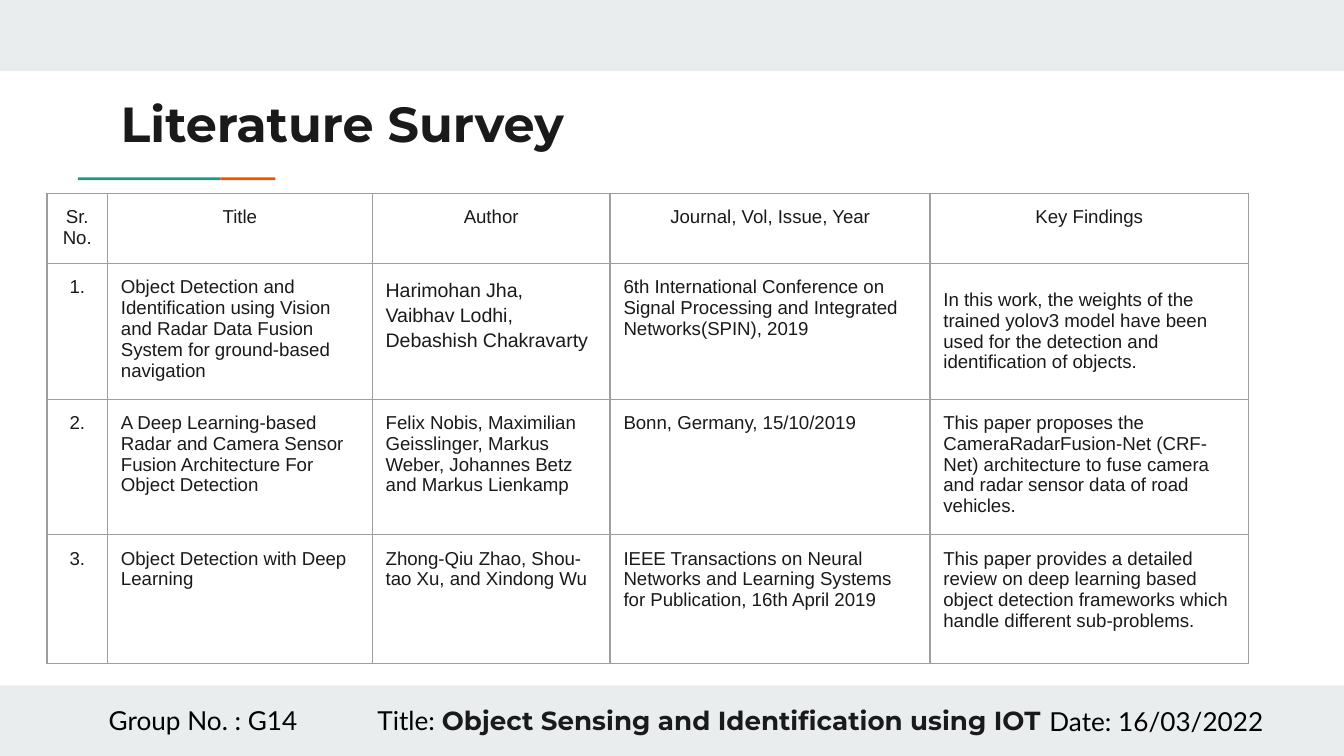
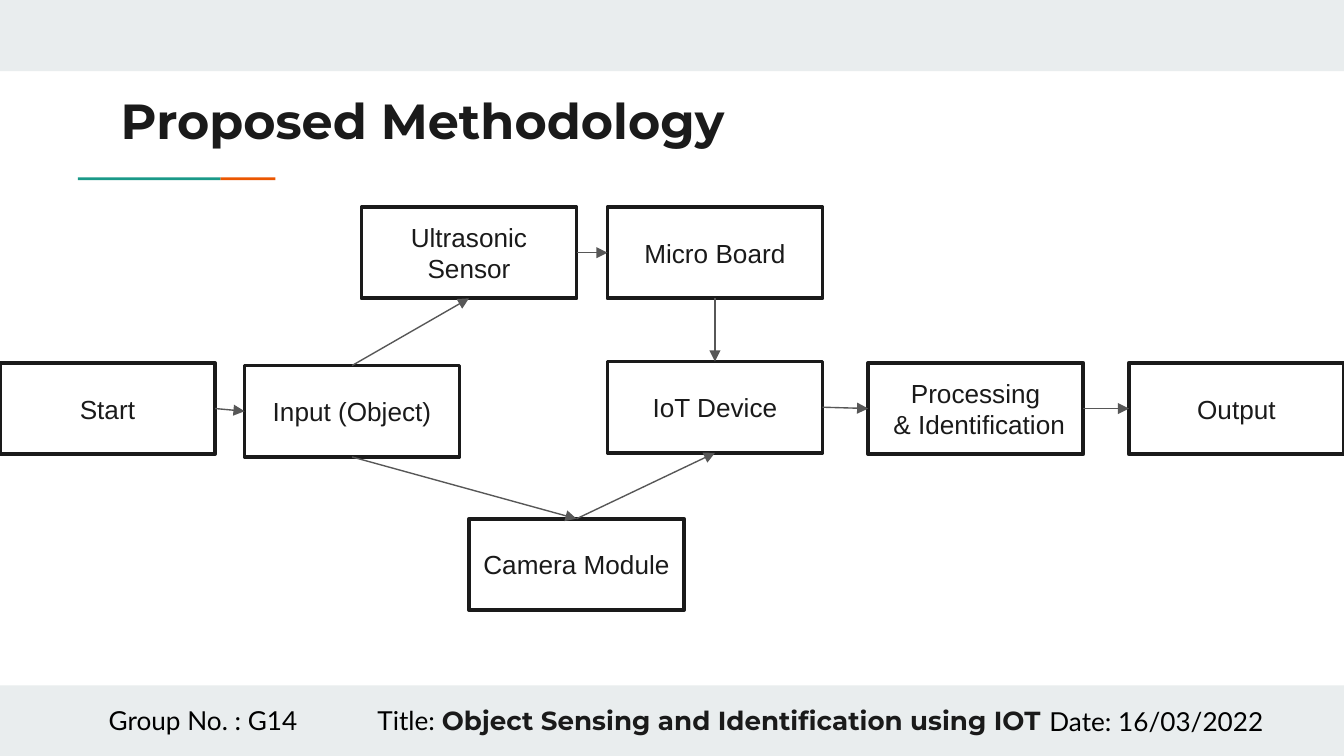
from dataclasses import dataclass
from typing import NamedTuple

from lxml.etree import SubElement
from pptx import Presentation
from pptx.dml.color import RGBColor
from pptx.enum.shapes import MSO_CONNECTOR, MSO_SHAPE
from pptx.enum.text import MSO_ANCHOR, PP_ALIGN
from pptx.oxml.ns import qn
from pptx.util import Inches, Pt


# Theme: colours, fonts and type sizes
@dataclass(frozen=True)
class Theme:
    band: str = "E9EDEE"
    teal: str = "1A9988"
    orange: str = "EB5600"
    ink: str = "1A1A1A"
    black: str = "000000"
    white: str = "FFFFFF"
    arrow: str = "575757"
    grid: str = "9E9E9E"
    heading_font: str = "Montserrat"
    footer_font: str = "Lato"
    body_font: str = "Arial"
    title_size: float = 26.4
    label_size: float = 14
    table_size: float = 10
    author_size: float = 10.5


THEME = Theme()
INSET = Inches(0.1)


class Area(NamedTuple):
    left: float
    top: float
    width: float
    height: float


class Step(NamedTuple):
    label: str
    left: float
    top: float


class Link(NamedTuple):
    start: str
    start_side: int
    end: str
    end_side: int


# Helpers
def style_span(span, size: float, font: str, color: str, bold: bool = False) -> None:
    span.font.size = Pt(size)
    span.font.name = font
    span.font.bold = bold
    span.font.color.rgb = RGBColor.from_string(color)


def style_frame(frame, size: float, font: str, color: str, bold: bool = False, align=PP_ALIGN.LEFT) -> None:
    for para in frame.paragraphs:
        para.alignment = align
        for span in para.runs:
            style_span(span, size, font, color, bold)


def add_box(page, area: Area, fill: str):
    box = page.shapes.add_shape(MSO_SHAPE.RECTANGLE, *(Inches(v) for v in area))
    box.shadow.inherit = False
    box.fill.solid()
    box.fill.fore_color.rgb = RGBColor.from_string(fill)
    box.line.fill.background()
    return box


def add_text(page, area: Area, text: str, size: float, font: str, color: str, bold: bool = False):
    frame = page.shapes.add_textbox(*(Inches(v) for v in area)).text_frame
    frame.word_wrap = True
    frame.margin_left = frame.margin_right = frame.margin_top = frame.margin_bottom = INSET
    frame.text = text
    style_frame(frame, size, font, color, bold)
    return frame


def add_tab_stop(para, position: float) -> None:
    stops = SubElement(para._p.get_or_add_pPr(), qn("a:tabLst"))
    SubElement(stops, qn("a:tab"), pos=str(Inches(position)), algn="l")


def add_page(deck, title: str, title_top: float):
    """Add a page with the bands, accent rule, footer and title."""
    page = deck.slides.add_slide(deck.slide_layouts[6])
    add_box(page, Area(0, 0, 10, 0.53), THEME.band)
    add_box(page, Area(1.64, 1.32, 0.41, 0.02), THEME.orange)
    add_box(page, Area(0.58, 1.32, 1.06, 0.02), THEME.teal)
    add_box(page, Area(0, 5.1, 10, 0.53), THEME.band)
    footer = add_text(page, Area(0.71, 5.14, 7.81, 0.44), "Group No. : G14\tTitle: ",
                      THEME.label_size, THEME.footer_font, THEME.black)
    add_tab_stop(footer.paragraphs[0], 2)
    project = footer.paragraphs[0].add_run()
    project.text = "Object Sensing and Identification using IOT"
    style_span(project, THEME.label_size, THEME.heading_font, THEME.ink, True)
    add_text(page, Area(7.71, 5.15, 1.94, 0.44), "Date: 16/03/2022",
             THEME.label_size, THEME.footer_font, THEME.black)
    add_text(page, Area(0.8, title_top, 8.41, 0.59), title,
             THEME.title_size, THEME.heading_font, THEME.ink, True)
    return page


def add_borders(cell) -> None:
    properties = cell._tc.get_or_add_tcPr()
    for side in ("lnL", "lnR", "lnT", "lnB"):
        edge = SubElement(properties, qn(f"a:{side}"), w=str(Pt(0.75)))
        SubElement(SubElement(edge, qn("a:solidFill")), qn("a:srgbClr"), val=THEME.grid)


def fill_cell(cell, text: str, centered: bool) -> None:
    cell.margin_left = cell.margin_right = cell.margin_top = INSET
    cell.margin_bottom = Inches(0.07)  # keeps five-line rows at their set height
    add_borders(cell)
    cell.fill.background()
    cell.text_frame.text = text
    style_frame(cell.text_frame, THEME.table_size, THEME.body_font, THEME.ink,
                align=PP_ALIGN.CENTER if centered else PP_ALIGN.LEFT)


def add_step(page, step: Step):
    box = add_box(page, Area(step.left, step.top, 1.6, 0.68), THEME.white)
    box.line.color.rgb = RGBColor.from_string(THEME.ink)
    box.line.width = Pt(2)
    frame = box.text_frame
    frame.word_wrap = True
    frame.vertical_anchor = MSO_ANCHOR.MIDDLE
    frame.text = step.label
    style_frame(frame, THEME.label_size, THEME.body_font, THEME.ink, align=PP_ALIGN.CENTER)
    return box


def add_arrow(page, boxes: dict, link: Link) -> None:
    arrow = page.shapes.add_connector(MSO_CONNECTOR.STRAIGHT, 0, 0, 0, 0)
    arrow.begin_connect(boxes[link.start], link.start_side)
    arrow.end_connect(boxes[link.end], link.end_side)
    arrow.line.color.rgb = RGBColor.from_string(THEME.arrow)
    arrow.line.width = Pt(0.75)
    SubElement(arrow.line._get_or_add_ln(), qn("a:tailEnd"), type="triangle")
    SubElement(arrow._element.spPr, qn("a:effectLst"))


# Literature table
COLUMN_WIDTHS = (0.45, 1.97, 1.77, 2.38, 2.37)
ROW_HEIGHTS = (0.52, 1.01, 1.01, 0.96)
SURVEY = (
    ("Sr.\nNo.", "Title", "Author", "Journal, Vol, Issue, Year", "Key Findings"),
    ("1.",
     "Object Detection and Identification using Vision and Radar Data Fusion System "
     "for ground-based navigation",
     "Harimohan Jha, Vaibhav Lodhi, Debashish Chakravarty",
     "6th International Conference on Signal Processing and Integrated Networks(SPIN), 2019",
     "In this work, the weights of the trained yolov3 model have been used for the "
     "detection and identification of objects."),
    ("2.",
     "A Deep Learning-based Radar and Camera Sensor Fusion Architecture For Object Detection",
     "Felix Nobis, Maximilian Geisslinger, Markus Weber, Johannes Betz and Markus Lienkamp",
     "Bonn, Germany, 15/10/2019",
     "This paper proposes the CameraRadarFusion-Net (CRF-Net) architecture to fuse camera "
     "and radar sensor data of road vehicles."),
    ("3.",
     "Object Detection with Deep Learning",
     "Zhong-Qiu Zhao, Shou-tao Xu, and Xindong Wu",
     "IEEE Transactions on Neural Networks and Learning Systems for Publication, 16th April 2019",
     "This paper provides a detailed review on deep learning based object detection "
     "frameworks which handle different sub-problems."),
)


def build_survey(deck) -> None:
    page = add_page(deck, "Literature Survey", 0.59)
    table = page.shapes.add_table(
        len(SURVEY), len(COLUMN_WIDTHS), Inches(0.35), Inches(1.44),
        Inches(sum(COLUMN_WIDTHS)), Inches(sum(ROW_HEIGHTS))).table
    table.first_row = table.horz_banding = False
    for column, width in zip(table.columns, COLUMN_WIDTHS):
        column.width = Inches(width)
    for row, height in zip(table.rows, ROW_HEIGHTS):
        row.height = Inches(height)
    for row_index, texts in enumerate(SURVEY):
        for column_index, text in enumerate(texts):
            fill_cell(table.cell(row_index, column_index), text,
                      centered=row_index == 0 or column_index == 0)

    # The first entry has looser authors and centred findings
    authors = table.cell(1, 2).text_frame.paragraphs[0]
    authors.line_spacing = 1.15
    authors.runs[0].font.size = Pt(THEME.author_size)
    findings = table.cell(1, 4)
    findings.vertical_anchor = MSO_ANCHOR.MIDDLE
    findings.margin_bottom = INSET


# Flow chart
TOP, LEFT, BOTTOM, RIGHT = range(4)
STEPS = {
    "start": Step("Start", 0, 2.7),
    "sensor": Step("Ultrasonic Sensor", 2.69, 1.54),
    "camera": Step("Camera Module", 3.49, 3.86),
    "board": Step("Micro Board", 4.52, 1.54),
    "device": Step("IoT Device", 4.52, 2.69),
    "processing": Step("Processing\n & Identification", 6.46, 2.7),
    "input": Step("Input (Object)", 1.82, 2.72),
    "output": Step("Output", 8.4, 2.7),
}
LINKS = (
    Link("start", RIGHT, "input", LEFT),
    Link("input", TOP, "sensor", BOTTOM),
    Link("input", BOTTOM, "camera", TOP),
    Link("sensor", RIGHT, "board", LEFT),
    Link("board", BOTTOM, "device", TOP),
    Link("camera", TOP, "device", BOTTOM),
    Link("device", RIGHT, "processing", LEFT),
    Link("processing", RIGHT, "output", LEFT),
)


def build_methodology(deck) -> None:
    page = add_page(deck, "Proposed Methodology", 0.57)
    boxes = {name: add_step(page, step) for name, step in STEPS.items()}
    for link in LINKS:
        add_arrow(page, boxes, link)


# Deck, 16:9
deck = Presentation()
deck.slide_width = Inches(10)
deck.slide_height = deck.slide_width * 9 // 16
build_survey(deck)
build_methodology(deck)
deck.save("out.pptx")
